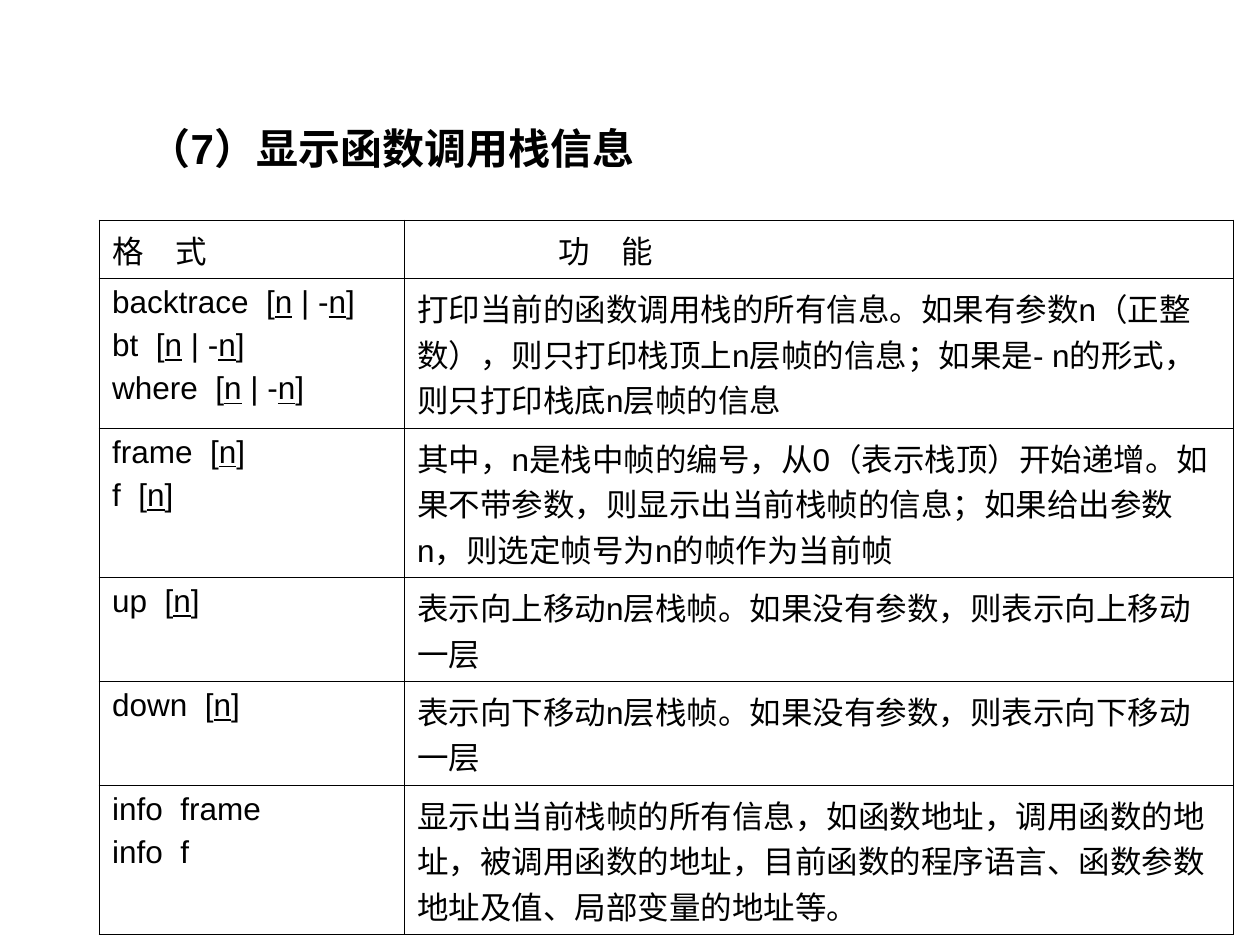
import pptx
import pptx.util
import pptx.dml.color
import pptx.enum.text
import pptx.oxml.ns
from lxml import etree

Inches = pptx.util.Inches
Pt = pptx.util.Pt
COLORS = {"ink": "000000"}
FONT = "Arial"
CJK = "Noto Sans CJK SC"
COLS = [2.42, 6.58]
ROWS = [0.42, 1.17, 1.08, 0.7, 0.7, 1]
HEADS = ["格　式", "功　能"]
ITEMS = [
    (["backtrace  [_n_ | -_n_]", "bt  [_n_ | -_n_]", "where  [_n_ | -_n_]"],
     "打印当前的函数调用栈的所有信息。如果有参数n（正整数），则只打印栈顶上n层帧的信息；"
     "如果是- n的形式，则只打印栈底n层帧的信息"),
    (["frame  [_n_]", "f  [_n_]"],
     "其中，n是栈中帧的编号，从0（表示栈顶）开始递增。如果不带参数，则显示出当前栈帧的信息；"
     "如果给出参数n，则选定帧号为n的帧作为当前帧"),
    (["up  [_n_]"], "表示向上移动n层栈帧。如果没有参数，则表示向上移动一层"),
    (["down  [_n_]"], "表示向下移动n层栈帧。如果没有参数，则表示向下移动一层"),
    (["info  frame", "info  f"],
     "显示出当前栈帧的所有信息，如函数地址，调用函数的地址，被调用函数的地址，"
     "目前函数的程序语言、函数参数地址及值、局部变量的地址等。"),
]


def style(para, size, bold=False):
    font = para.font
    font.name, font.size, font.bold = FONT, Pt(size), bold
    font.color.rgb = pptx.dml.color.RGBColor.from_string(COLORS["ink"])
    para.alignment = pptx.enum.text.PP_ALIGN.LEFT


def border(cell, sides):
    props = cell._tc.get_or_add_tcPr()
    for spot, (tag, width) in enumerate(sides.items()):
        line = etree.Element(pptx.oxml.ns.qn("a:" + tag), w=str(Pt(width)))
        fill = etree.SubElement(line, pptx.oxml.ns.qn("a:solidFill"))
        etree.SubElement(fill, pptx.oxml.ns.qn("a:srgbClr"), val=COLORS["ink"])
        props.insert(spot, line)


def write(cell, lines):
    frame = cell.text_frame
    for i, line in enumerate(lines):
        para = frame.add_paragraph() if i else frame.paragraphs[0]
        style(para, 18)
        para.space_before = Pt(4.5)
        for j, part in enumerate(line.split("_")):
            run = para.add_run()
            run.text = part
            if j % 2:
                run.font.underline = True


def add_title(slide, left, top, width, height):
    title = slide.shapes.title
    title.left, title.top = Inches(left), Inches(top)
    title.width, title.height = Inches(width), Inches(height)
    frame = title.text_frame
    frame.vertical_anchor = pptx.enum.text.MSO_ANCHOR.TOP
    frame.text = "（7）显示函数调用栈信息"
    para = frame.paragraphs[0]
    style(para, 24, True)
    east = etree.Element(pptx.oxml.ns.qn("a:ea"), typeface=CJK)
    para.font._element.find(pptx.oxml.ns.qn("a:latin")).addnext(east)


def add_grid(slide, left, top, width, height):
    table = slide.shapes.add_table(
        len(ROWS), len(COLS), Inches(left), Inches(top),
        Inches(width), Inches(height)).table
    table.first_row = table.horz_banding = False
    for col, size in zip(table.columns, COLS):
        col.width = Inches(size)
    for row, size in zip(table.rows, ROWS):
        row.height = Inches(size)
    texts = [[[head] for head in HEADS]]
    texts += [[forms, [use]] for forms, use in ITEMS]
    for r, row in enumerate(texts):
        for c, lines in enumerate(row):
            cell = table.cell(r, c)
            cell.fill.background()
            write(cell, lines)
            outer = {"lnL": c == 0, "lnR": c == len(COLS) - 1,
                     "lnT": r == 0, "lnB": r == len(ROWS) - 1}
            border(cell, {k: 1.08 if edge else 0.45
                          for k, edge in outer.items()})
    head = table.cell(0, 1).text_frame.paragraphs[0]
    head._p.get_or_add_pPr().set("marL", str(Inches(1.12)))


def main():
    deck = pptx.Presentation()
    deck.slide_width, deck.slide_height = Inches(10), Inches(7.5)
    slide = deck.slides.add_slide(deck.slide_layouts[5])
    add_title(slide, 1.08, 0.92, 8.42, 0.6)
    add_grid(slide, 0.79, 1.75, sum(COLS), sum(ROWS))
    deck.save("out.pptx")


if __name__ == "__main__":
    main()
